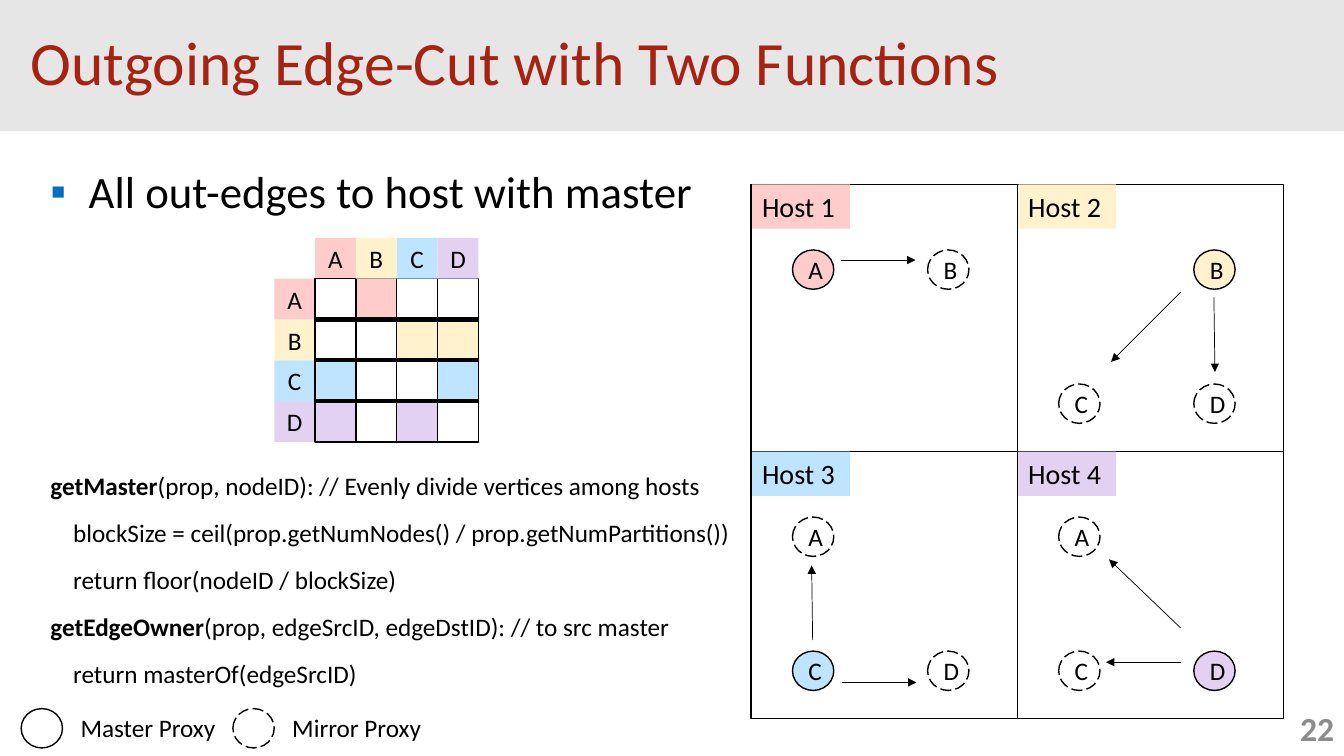
import dataclasses

import lxml.etree
import pptx
import pptx.dml.color
import pptx.enum.dml
import pptx.enum.shapes
import pptx.enum.text
import pptx.oxml.ns
import pptx.util

SHAPE = pptx.enum.shapes.MSO_SHAPE
ALIGN = pptx.enum.text.PP_ALIGN
ANCHOR = pptx.enum.text.MSO_ANCHOR
FIT = pptx.enum.text.MSO_AUTO_SIZE


@dataclasses.dataclass
class Grid:
    """Columns and rows, in inches, counted from a top left corner."""
    left: float
    top: float
    column: float
    row: float

    def point(self, column, row):
        return self.left + column * self.column, self.top + row * self.row

    def cell(self, column, row):
        return *self.point(column, row), self.column, self.row


WIDTH, HEIGHT = 13.33, 7.5
MATRIX = Grid(2.72, 2.36, 0.81 / 2, 0.81 / 2)
HOSTS = Grid(7.45, 1.83, 2.64, 2.65)
LEGEND = Grid(0.21, 7.03, 2.1, 0.39)
CIRCLE = (0.41, 0.39)
VERTEX_COLORS = {"A": "FFCCCC", "B": "FFF2CC", "C": "BFE4FF", "D": "E3D1F1"}
VERTICES = list(VERTEX_COLORS)
# Each edge's arrow ends, as offsets inside the panel of its source's host
EDGES = {
    "AB": ((0.89, 0.75), (1.63, 0.75)),
    "BC": ((1.62, 1.07), (0.93, 1.76)),
    "BD": ((1.95, 1.12), (1.96, 1.86)),
    "CA": ((0.61, 1.87), (0.60, 1.13)),
    "CD": ((0.90, 2.29), (1.64, 2.29)),
    "DA": ((1.62, 1.75), (0.91, 1.07)),
    "DC": ((1.62, 2.09), (0.88, 2.09)),
}
CODE = [
    ("getMaster", "(prop, nodeID): // Evenly divide vertices among hosts"),
    ("", "    blockSize = ceil(prop.getNumNodes() / prop.getNumPartitions())"),
    ("", "    return ﬂoor(nodeID / blockSize)"),
    ("getEdgeOwner", "(prop, edgeSrcID, edgeDstID): // to src master"),
    ("", "    return masterOf(edgeSrcID)"),
]


def rgb(color):
    return pptx.dml.color.RGBColor.from_string(color)


def inches(*lengths):
    return [pptx.util.Inches(length) for length in lengths]


def add_element(parent, tag, **attributes):
    return lxml.etree.SubElement(parent, pptx.oxml.ns.qn(tag), attributes)


def write(para, text, size=18, color="000000", bold=False, align=ALIGN.LEFT):
    para.alignment = align
    span = para.add_run()
    span.text = text
    span.font.name = "Calibri"
    span.font.size = pptx.util.Pt(size)
    span.font.bold = bold
    span.font.color.rgb = rgb(color)


def place(box, left, top, width, height):
    box.left, box.top, box.width, box.height = inches(left, top, width, height)


def add_shape(shapes, kind, area, fill=None, line=None, dashed=False):
    shape = shapes.add_shape(kind, *inches(*area))
    shape.shadow.inherit = False
    if fill:
        shape.fill.solid()
        shape.fill.fore_color.rgb = rgb(fill)
    else:
        shape.fill.background()
    if line:
        shape.line.color.rgb = rgb(line)
        shape.line.width = pptx.util.Pt(1)
    else:
        shape.line.fill.background()
    if dashed:
        shape.line.dash_style = pptx.enum.dml.MSO_LINE.LONG_DASH
    return shape


def add_label(shapes, area, text, wrap=False, anchor=ANCHOR.TOP, **style):
    box = shapes.add_textbox(*inches(*area))
    box.text_frame.word_wrap = wrap
    box.text_frame.vertical_anchor = anchor
    write(box.text_frame.paragraphs[0], text, **style)


def add_line(shapes, start, end, width, arrow=False):
    line = shapes.add_connector(
        pptx.enum.shapes.MSO_CONNECTOR.STRAIGHT, *inches(*start, *end))
    line.line.color.rgb = rgb("000000")
    line.line.width = pptx.util.Pt(width)
    properties = line._element.spPr
    if arrow:
        outline = properties.find(pptx.oxml.ns.qn("a:ln"))
        add_element(outline, "a:tailEnd", type="triangle")
    add_element(properties, "a:effectLst")


def add_proxy(shapes, corner, vertex="", fill=None, dashed=False):
    """Draw a circle: solid for a master proxy, dashed for a mirror."""
    circle = add_shape(shapes, SHAPE.OVAL, (*corner, *CIRCLE), fill, "000000", dashed)
    if vertex:
        circle.text_frame.vertical_anchor = ANCHOR.MIDDLE
        write(circle.text_frame.paragraphs[0], vertex, align=ALIGN.CENTER)


def add_title(page):
    title = page.shapes.title
    place(title, 0, 0, WIDTH, 1.3)
    title.fill.solid()
    title.fill.fore_color.rgb = rgb("E7E6E6")
    frame = title.text_frame
    frame.auto_size = FIT.NONE
    frame.vertical_anchor = ANCHOR.MIDDLE
    frame.margin_left = pptx.util.Inches(0.3)
    para = frame.paragraphs[0]
    para.line_spacing = 0.9
    write(para, "Outgoing Edge-Cut with Two Functions", size=44, color="A72311")


def format_body(para, before, indent=0.0, bullet=None):
    para.line_spacing = 0.9
    para.space_before = pptx.util.Pt(before)
    para.space_after = pptx.util.Pt(4)
    properties = para._p.get_or_add_pPr()
    properties.set("marL", str(pptx.util.Inches(indent)))
    properties.set("indent", str(pptx.util.Inches(-indent)))
    if bullet:
        add_element(add_element(properties, "a:buClr"), "a:srgbClr", val="0070C0")
        add_element(properties, "a:buChar", char=bullet)
    else:
        add_element(properties, "a:buNone")


def add_body(page):
    body = page.placeholders[1]
    place(body, 0.4, 1.63, 7.11, 5.32)
    frame = body.text_frame
    frame.auto_size = FIT.NONE
    frame.vertical_anchor = ANCHOR.TOP
    para = frame.paragraphs[0]
    format_body(para, before=0, indent=0.38, bullet="▪")
    write(para, "All out-edges to host with master", size=32)
    for number, (name, rest) in enumerate(CODE):
        para = frame.add_paragraph()
        format_body(para, before=10 if number else 179)
        if name:
            write(para, name, bold=True)
        write(para, rest)


def add_legend(page):
    for column, text in enumerate(["Master Proxy", "Mirror Proxy"]):
        left, top = LEGEND.point(column, 0)
        add_proxy(page.shapes, (left, top), dashed=text.startswith("Mirror"))
        add_label(page.shapes, (left + 0.49, top - 0.01, 1.55, 0.4), text)


def add_host(page, number, master):
    panel = HOSTS.cell(number % 2, number // 2)
    left, top = panel[:2]
    offsets = Grid(left, top, 1, 1)
    nodes = Grid(left + 0.41, top + 0.65, 1.34, 1.33)
    add_shape(page.shapes, SHAPE.RECTANGLE, panel, line="000000")
    present = {master} | {edge[1] for edge in EDGES if edge[0] == master}
    for position, vertex in enumerate(VERTICES):
        if vertex in present:
            mirror = vertex != master
            add_proxy(page.shapes, nodes.point(position % 2, position // 2), vertex,
                      None if mirror else VERTEX_COLORS[vertex], mirror)
    for edge, (start, end) in EDGES.items():
        if edge[0] == master:
            add_line(page.shapes, offsets.point(*start), offsets.point(*end), 0.5, arrow=True)
    tag = add_shape(page.shapes, SHAPE.RECTANGLE, (left + 0.01, top, 0.97, 0.44),
                    VERTEX_COLORS[master])
    tag.text_frame.vertical_anchor = ANCHOR.TOP
    write(tag.text_frame.paragraphs[0], f"Host {number + 1}", size=20)


def add_matrix(page):
    shapes = page.shapes.add_group_shape().shapes
    for row, source in enumerate(VERTICES, 1):
        for area in (MATRIX.cell(0, row), MATRIX.cell(row, 0)):
            header = add_shape(shapes, SHAPE.RECTANGLE, area, VERTEX_COLORS[source])
            header.text_frame.vertical_anchor = ANCHOR.MIDDLE
            write(header.text_frame.paragraphs[0], source, align=ALIGN.CENTER)
        for column, target in enumerate(VERTICES, 1):
            fill = VERTEX_COLORS[source] if source + target in EDGES else "FFFFFF"
            add_shape(shapes, SHAPE.RECTANGLE, MATRIX.cell(column, row), fill, "000000")
    for row in range(2, 5):
        add_line(shapes, MATRIX.point(5, row), MATRIX.point(1, row), 3)


def main():
    deck = pptx.Presentation()
    deck.slide_width, deck.slide_height = inches(WIDTH, HEIGHT)
    page = deck.slides.add_slide(deck.slide_layouts[1])
    add_title(page)
    add_body(page)
    add_label(page.shapes, (12.26, 6.95, 1.07, 0.55), "22", wrap=True,
              anchor=ANCHOR.MIDDLE, size=24, color="8C8C8C", bold=True, align=ALIGN.RIGHT)
    add_legend(page)
    for number, master in enumerate(VERTICES):
        add_host(page, number, master)
    add_matrix(page)
    deck.save("out.pptx")


if __name__ == "__main__":
    main()
